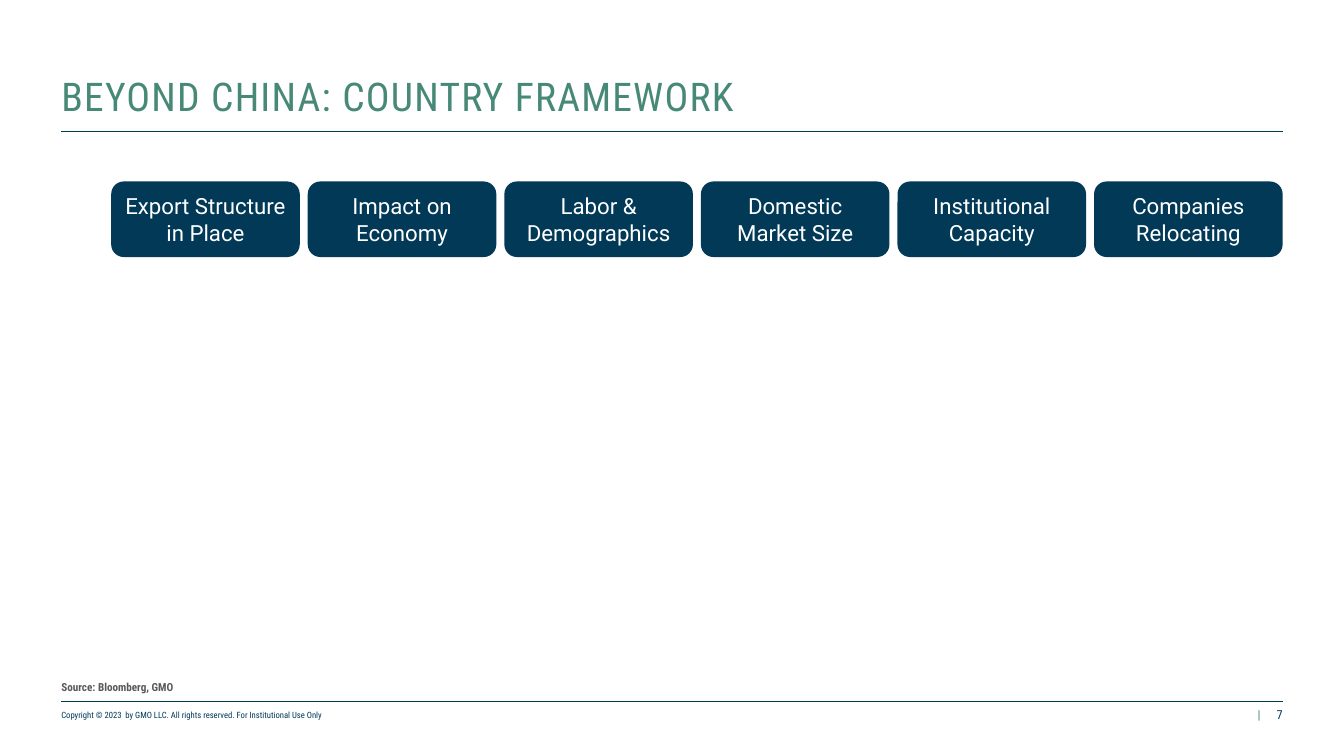
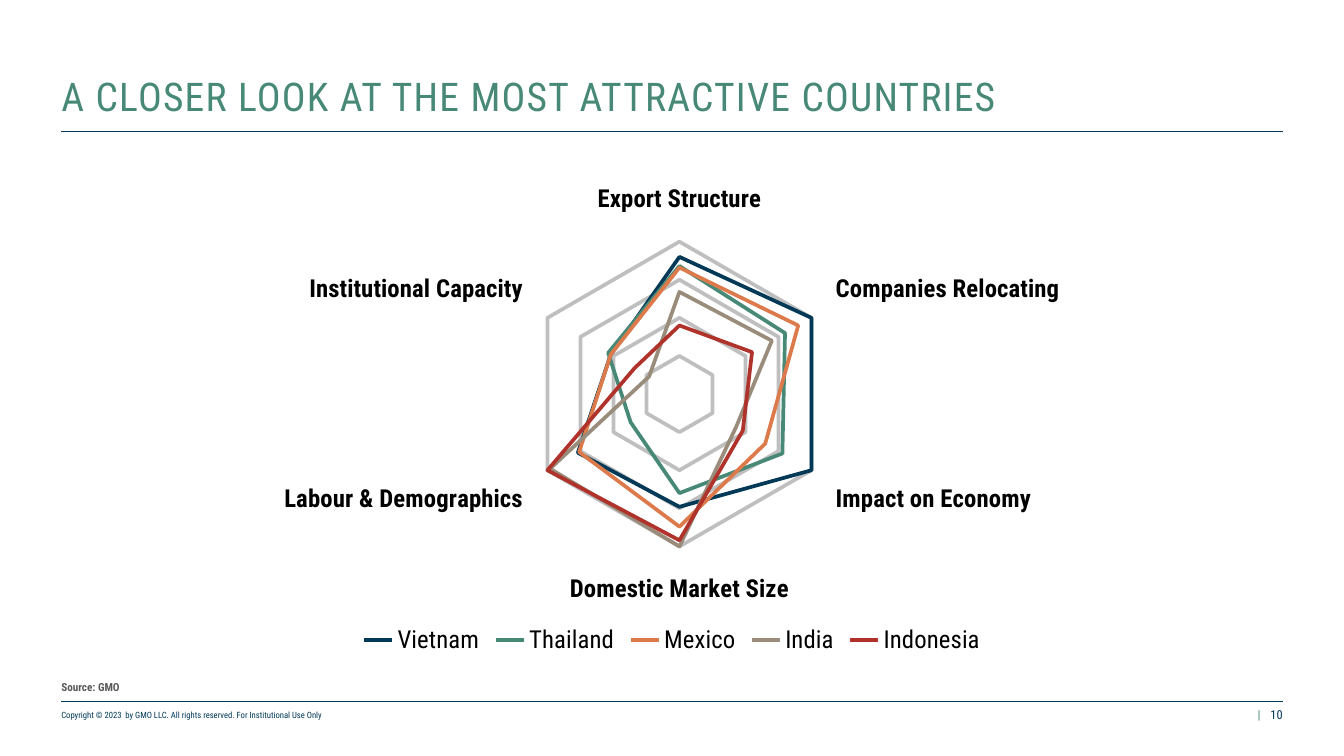
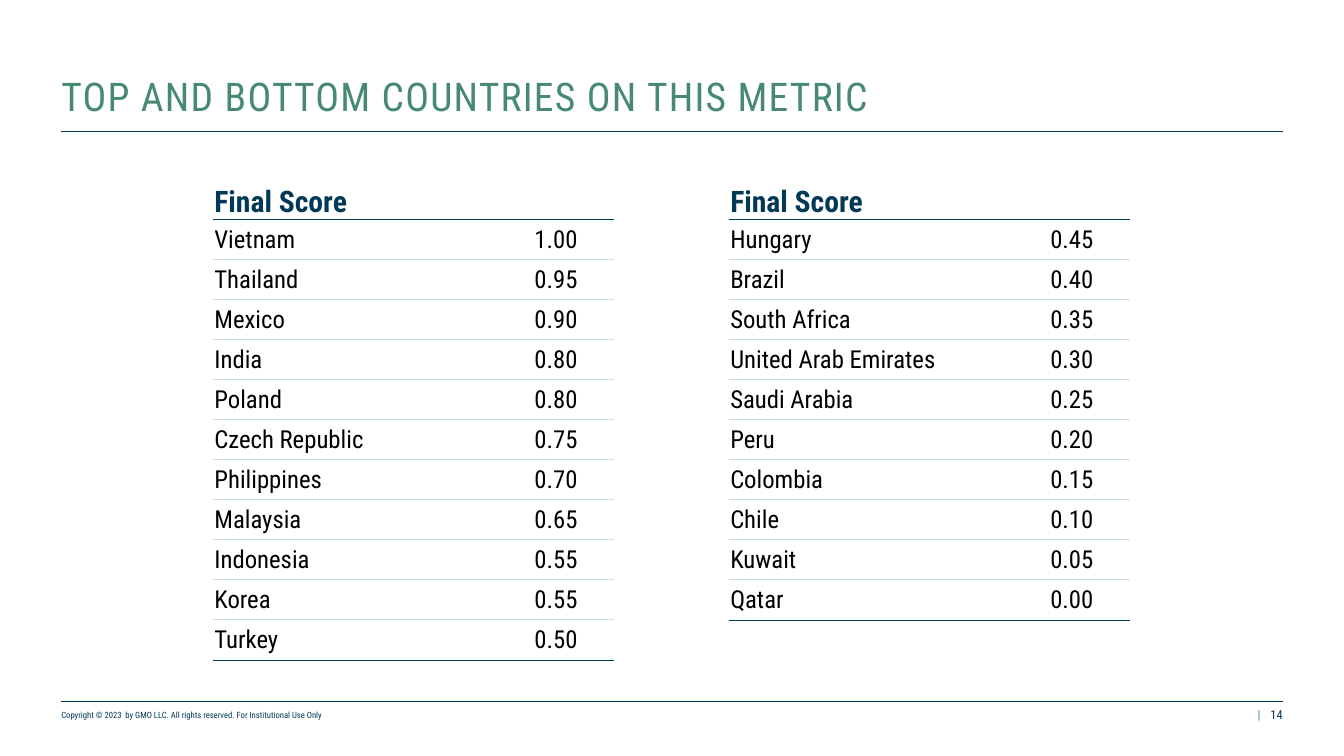
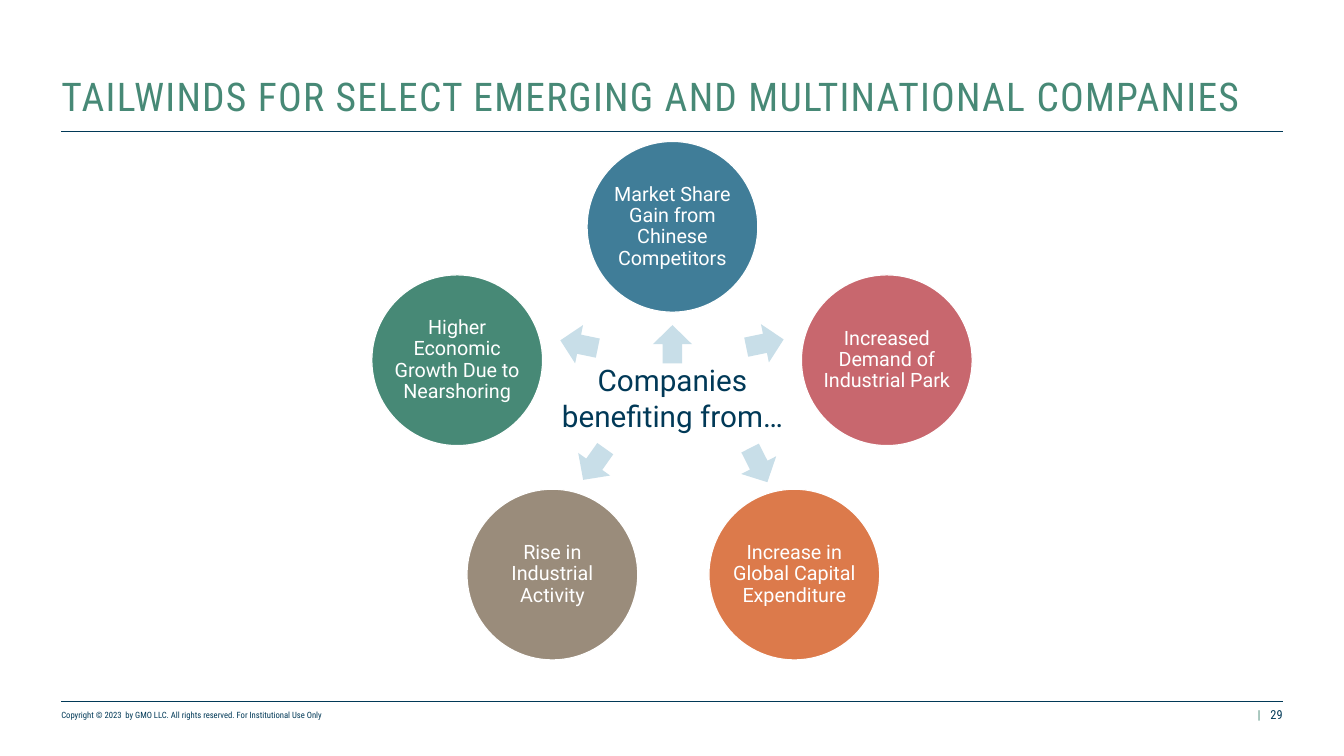
from dataclasses import dataclass

from lxml import etree
from pptx import Presentation
from pptx.chart.data import CategoryChartData
from pptx.dml.color import RGBColor
from pptx.enum.chart import XL_CHART_TYPE as CHART, XL_LEGEND_POSITION as LEGEND, XL_TICK_MARK as TICK
from pptx.enum.shapes import MSO_CONNECTOR as CONNECTOR, MSO_SHAPE as SHAPE
from pptx.enum.text import MSO_ANCHOR as ANCHOR, PP_ALIGN as ALIGN
from pptx.oxml.ns import qn
from pptx.util import Inches, Pt


@dataclass(frozen=True)
class Theme:
    navy: str = "013957"
    green: str = "478976"
    orange: str = "DC7A4B"
    taupe: str = "9A8C7B"
    red: str = "AF332B"
    blue: str = "407D98"
    rose: str = "C8676E"
    pale: str = "C8DEE8"
    grey: str = "595959"
    grid: str = "BFBFBF"
    axis: str = "D9D9D9"
    black: str = "000000"
    white: str = "FFFFFF"
    body_font: str = "Roboto"
    head_font: str = "Roboto Condensed"
    title: int = 32
    large: int = 24
    medium: int = 20
    label: int = 18
    small: int = 16
    page: int = 10
    source: int = 9
    copyright: int = 7


T = Theme()
WIDTH, HEIGHT = 15.11, 8.5
LEFT, RIGHT = 0.69, 14.42
CONTENT = RIGHT - LEFT
NO_STYLE = "{2D5ABB26-0587-4C30-8999-92F81FD0307C}"

COPYRIGHT = "Copyright © 2023  by GMO LLC. All rights reserved. For Institutional Use Only"

CRITERIA = [
    "Export Structure in Place",
    "Impact on Economy",
    "Labor & Demographics",
    "Domestic\nMarket Size",
    "Institutional Capacity",
    "Companies Relocating",
]

RADAR_AXES = [
    "Export Structure", "Companies Relocating", "Impact on Economy",
    "Domestic Market Size", "Labour & Demographics", "Institutional Capacity",
]
RADAR_SERIES = [
    ("Vietnam", T.navy, (90, 100, 100, 74, 77, 52)),
    ("Thailand", T.green, (84, 80, 78, 65, 37, 54)),
    ("Mexico", T.orange, (83, 90, 65, 87, 76, 52)),
    ("India", T.taupe, (67, 70, 43, 100, 98, 23)),
    ("Indonesia", T.red, (45, 55, 48, 96, 100, 34)),
]

SCORE_HEADING = "Final Score"
TOP_SCORES = [
    ("Vietnam", "1.00"), ("Thailand", "0.95"), ("Mexico", "0.90"),
    ("India", "0.80"), ("Poland", "0.80"), ("Czech Republic", "0.75"),
    ("Philippines", "0.70"), ("Malaysia", "0.65"), ("Indonesia", "0.55"),
    ("Korea", "0.55"), ("Turkey", "0.50"),
]
BOTTOM_SCORES = [
    ("Hungary", "0.45"), ("Brazil", "0.40"), ("South Africa", "0.35"),
    ("United Arab Emirates", "0.30"), ("Saudi Arabia", "0.25"), ("Peru", "0.20"),
    ("Colombia", "0.15"), ("Chile", "0.10"), ("Kuwait", "0.05"), ("Qatar", "0.00"),
]

HUB = "Companies benefiting from…"
TAILWINDS = [
    ("Market Share\nGain from\nChinese\nCompetitors", T.blue, (7.56, 2.55), (7.56, 3.87), 270),
    ("Increased\nDemand of\nIndustrial Park", T.rose, (9.97, 4.05), (8.6, 3.86), 348.3),
    ("Increase in\nGlobal Capital\nExpenditure", T.orange, (8.93, 6.46), (8.53, 5.23), 63.1),
    ("Rise in\nIndustrial\nActivity", T.taupe, (6.21, 6.46), (6.68, 5.22), 125.3),
    ("Higher\nEconomic\nGrowth Due to\nNearshoring", T.green, (5.14, 4.05), (6.51, 3.87), 191.7),
]


def rgb(color):
    return RGBColor.from_string(color)


def box(x, y, w, h):
    return Inches(x), Inches(y), Inches(w), Inches(h)


def set_font(font, size, color, name=T.head_font, bold=False):
    font.name, font.size, font.bold = name, Pt(size), bold
    font.color.rgb = rgb(color)


def set_margins(obj, left, top, right, bottom):
    obj.margin_left, obj.margin_top = Inches(left), Inches(top)
    obj.margin_right, obj.margin_bottom = Inches(right), Inches(bottom)


def write(tf, text, size, color, name=T.head_font, bold=False, align=ALIGN.LEFT, spacing=None):
    p = tf.paragraphs[0]
    p.alignment = align
    if spacing:
        p.line_spacing = spacing
    for i, line in enumerate(text.split("\n")):
        if i:
            p.add_line_break()
        r = p.add_run()
        r.text = line
        set_font(r.font, size, color, name, bold)
    return p


def add_text(s, at, text, size, color, **style):
    tf = s.shapes.add_textbox(*box(*at)).text_frame
    tf.word_wrap = True
    tf.vertical_anchor = ANCHOR.BOTTOM
    set_margins(tf, 0, 0, 0, 0)
    return write(tf, text, size, color, **style)


def add_rule(s, y, width):
    line = s.shapes.add_connector(CONNECTOR.STRAIGHT, Inches(LEFT), Inches(y), Inches(RIGHT), Inches(y))
    line.line.color.rgb = rgb(T.navy)
    line.line.width = Pt(width)
    etree.SubElement(line._element.spPr, qn("a:effectLst"))


def add_shape(s, kind, at, fill, outline=None):
    sp = s.shapes.add_shape(kind, *box(*at))
    sp.shadow.inherit = False
    sp.fill.solid()
    sp.fill.fore_color.rgb = rgb(fill)
    if outline:
        sp.line.color.rgb = rgb(outline)
        sp.line.width = Pt(1)
    else:
        sp.line.fill.background()
    sp.text_frame.vertical_anchor = ANCHOR.MIDDLE
    return sp


def add_slide(prs, title, number, source=None):
    s = prs.slides.add_slide(prs.slide_layouts[6])
    add_text(s, (LEFT, 7.95, 7.1, 0.15), COPYRIGHT, T.copyright, T.navy)
    add_text(s, (14.1, 7.95, 0.11, 0.17), "|", T.page, T.green, align=ALIGN.CENTER)
    add_text(s, (RIGHT - 3.4, 7.95, 3.4, 0.17), str(number), T.page, T.navy, align=ALIGN.RIGHT)
    add_rule(s, 7.88, 0.5)
    add_rule(s, 1.48, 1)
    if source:
        add_text(s, (LEFT, 7.27, CONTENT, 0.53), source, T.source, T.grey, bold=True)
    p = add_text(s, (LEFT, 0.5, CONTENT, 0.85), title, T.title, T.green, spacing=0.9)
    for r in p.runs:
        r.font._element.set("spc", "100")
    return s


def framework(prs):
    s = add_slide(prs, "BEYOND CHINA: COUNTRY FRAMEWORK", 7, "Source: Bloomberg, GMO")
    left, width, gap = 1.25, 2.12, 0.09
    for i, text in enumerate(CRITERIA):
        sp = add_shape(s, SHAPE.ROUNDED_RECTANGLE, (left + i * (width + gap), 2.04, width, 0.85), T.navy)
        write(sp.text_frame, text, T.label, T.white, T.body_font, align=ALIGN.CENTER)


def closer_look(prs):
    s = add_slide(prs, "A CLOSER LOOK AT THE MOST ATTRACTIVE COUNTRIES", 10, "Source: GMO")
    data = CategoryChartData()
    data.categories = RADAR_AXES
    for name, _, values in RADAR_SERIES:
        data.add_series(name, values)
    chart = s.shapes.add_chart(CHART.RADAR, *box(1.37, 1.96, 12.37, 5.46), data).chart
    set_font(chart.font, T.medium, T.black)
    chart.has_title = False
    chart.has_legend = True
    chart.legend.position = LEGEND.BOTTOM
    chart.legend.include_in_layout = False
    set_font(chart.legend.font, T.medium, T.black)

    cat = chart.category_axis
    cat.has_major_gridlines = False
    cat.major_tick_mark = cat.minor_tick_mark = TICK.NONE
    set_font(cat.tick_labels.font, T.medium, T.black, bold=True)
    cat.format.line.color.rgb = rgb(T.axis)
    cat.format.line.width = Pt(0.75)

    val = chart.value_axis
    val.visible = False
    val.minimum_scale, val.maximum_scale, val.major_unit = 0, 100, 25
    val.has_major_gridlines = True
    val.major_gridlines.format.line.color.rgb = rgb(T.grid)
    val.major_gridlines.format.line.width = Pt(3)

    plot = chart.plots[0]
    plot.vary_by_categories = False
    for series, (_, color, _) in zip(plot.series, RADAR_SERIES):
        series.format.line.color.rgb = rgb(color)
        series.format.line.width = Pt(3)


def set_borders(cell, top, bottom):
    pr = cell._tc.get_or_add_tcPr()
    edges = [(tag, edge) for tag, edge in (("a:lnT", top), ("a:lnB", bottom)) if edge]
    for i, (tag, (color, width)) in enumerate(edges):
        ln = etree.Element(qn(tag), w=str(Pt(width)))
        fill = etree.SubElement(ln, qn("a:solidFill"))
        etree.SubElement(fill, qn("a:srgbClr"), val=color)
        pr.insert(i, ln)


def scores(prs):
    s = add_slide(prs, "TOP AND BOTTOM COUNTRIES ON THIS METRIC", 14)
    widths = [3.2, 1.3, 1.3, 3.2, 1.3]
    heights = [0.34] + [0.45] * len(TOP_SCORES)
    frame = s.shapes.add_table(len(heights), len(widths), *box(2.4, 2.06, sum(widths), sum(heights)))
    table = frame.table
    table.first_row = table.horz_banding = False
    table._tbl.tblPr.find(qn("a:tableStyleId")).text = NO_STYLE
    for column, width in zip(table.columns, widths):
        column.width = Inches(width)
    for row, height in zip(table.rows, heights):
        row.height = Inches(height)
    for cell in table.iter_cells():
        set_margins(cell, 0.01, 0.01, 0.01, 0)
        cell.vertical_anchor = ANCHOR.MIDDLE
        cell.fill.background()

    header, inner, closing = (T.navy, 1), (T.pale, 1), (T.navy, 0.5)
    for first, rows in ((0, TOP_SCORES), (3, BOTTOM_SCORES)):
        edges = [None, header] + [inner] * (len(rows) - 1) + [closing]
        for i, values in enumerate([(SCORE_HEADING, "")] + rows):
            for j, text in enumerate(values):
                cell = table.cell(i, first + j)
                set_borders(cell, edges[i], edges[i + 1])
                if i == 0:
                    cell.vertical_anchor = ANCHOR.BOTTOM
                if text:
                    size, color = (T.medium, T.black) if i else (T.large, T.navy)
                    write(cell.text_frame, text, size, color, bold=i == 0,
                          align=ALIGN.CENTER if j else ALIGN.LEFT)


def tailwinds(prs):
    s = add_slide(prs, "TAILWINDS FOR SELECT EMERGING AND MULTINATIONAL COMPANIES", 29)
    size, arrow_w, arrow_h = 1.92, 0.43, 0.44
    for text, color, (x, y), (ax, ay), angle in TAILWINDS:
        sp = add_shape(s, SHAPE.OVAL, (x - size / 2, y - size / 2, size, size), color, T.white)
        sp.text_frame.word_wrap = False
        set_margins(sp.text_frame, 0, 0, 0, 0)
        write(sp.text_frame, text, T.small, T.white, T.body_font, align=ALIGN.CENTER, spacing=0.9)
        arrow = add_shape(s, SHAPE.RIGHT_ARROW, (ax - arrow_w / 2, ay - arrow_h / 2, arrow_w, arrow_h), T.pale)
        arrow.rotation = angle
    tf = s.shapes.add_textbox(*box(6.05, 4.02, 3.02, 0.91)).text_frame
    tf.word_wrap = True
    write(tf, HUB, T.large, T.navy, T.body_font, align=ALIGN.CENTER)


def main():
    prs = Presentation()
    prs.slide_width, prs.slide_height = Inches(WIDTH), Inches(HEIGHT)
    for build in (framework, closer_look, scores, tailwinds):
        build(prs)
    prs.save("out.pptx")


if __name__ == "__main__":
    main()
